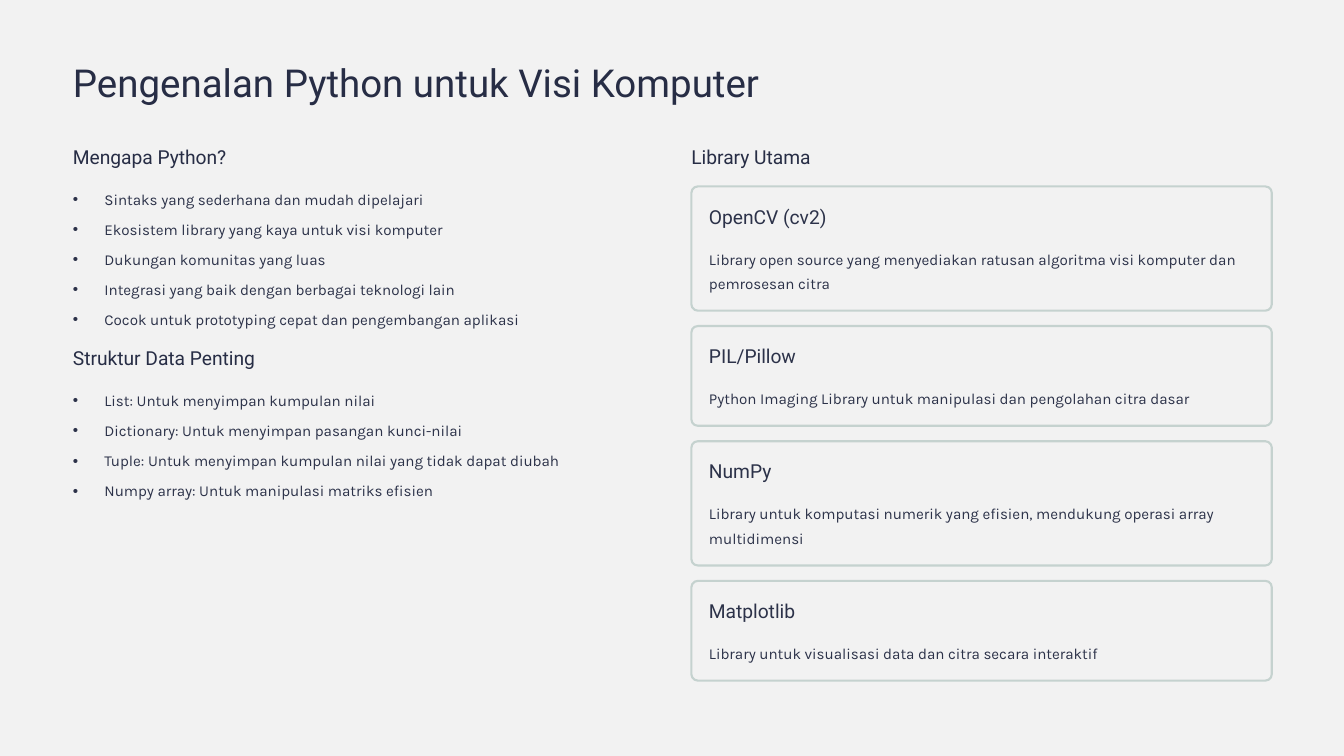
from dataclasses import dataclass

from lxml.etree import SubElement
from pptx import Presentation
from pptx.dml.color import RGBColor
from pptx.enum.shapes import MSO_SHAPE as Shape
from pptx.enum.text import MSO_ANCHOR as Anchor, MSO_AUTO_SIZE as AutoSize, PP_ALIGN as Align
from pptx.oxml.ns import qn
from pptx.shapes.base import BaseShape
from pptx.slide import Slide
from pptx.util import Pt

PAPER = RGBColor(0xF2, 0xF2, 0xF2)
NAVY = RGBColor(0x27, 0x2D, 0x45)
INK = RGBColor(0x2C, 0x32, 0x49)
SAGE = RGBColor(0xC5, 0xD2, 0xCF)

LEFT, RIGHT = 62.5, 592.6
COLUMN_WIDTH = 497.5
HEADING_TOP = 123.7
HEADING_HEIGHT = 20.5
BODY_LINE = 21
BULLET_GAP = 4.8
BULLET_INDENT = 27
CARDS_TOP = 159.8
CARD_GAP = 13.2
CARD_PADDING = 15.1
CARD_RADIUS = 5.55
CARD_FRAME = 64.5  # card height apart from its description lines
DESCRIPTION_OFFSET = 49


@dataclass(frozen=True)
class Style:
    font: str
    size: float
    line: float
    color: RGBColor


@dataclass(frozen=True)
class Topic:
    heading: str
    top: float
    list_top: float
    items: tuple[str, ...]


@dataclass(frozen=True)
class Library:
    name: str
    description: str
    lines: int


TITLE = Style("Roboto", 33, 41.5, NAVY)
HEADING = Style("Roboto", 16.5, HEADING_HEIGHT, NAVY)
CARD_NAME = Style("Roboto", 16.5, HEADING_HEIGHT, INK)
BODY = Style("Karla", 13, BODY_LINE, INK)

TOPICS = (
    Topic("Mengapa Python?", HEADING_TOP, 157.7, (
        "Sintaks yang sederhana dan mudah dipelajari",
        "Ekosistem library yang kaya untuk visi komputer",
        "Dukungan komunitas yang luas",
        "Integrasi yang baik dengan berbagai teknologi lain",
        "Cocok untuk prototyping cepat dan pengembangan aplikasi",
    )),
    Topic("Struktur Data Penting", 296.2, 330.2, (
        "List: Untuk menyimpan kumpulan nilai",
        "Dictionary: Untuk menyimpan pasangan kunci-nilai",
        "Tuple: Untuk menyimpan kumpulan nilai yang tidak dapat diubah",
        "Numpy array: Untuk manipulasi matriks efisien",
    )),
)

LIBRARIES = (
    Library("OpenCV (cv2)", "Library open source yang menyediakan ratusan algoritma "
            "visi komputer dan pemrosesan citra", 2),
    Library("PIL/Pillow", "Python Imaging Library untuk manipulasi dan pengolahan citra dasar", 1),
    Library("NumPy", "Library untuk komputasi numerik yang efisien, mendukung operasi "
            "array multidimensi", 2),
    Library("Matplotlib", "Library untuk visualisasi data dan citra secara interaktif", 1),
)


def place(shape: BaseShape, left: float, top: float, width: float, height: float) -> None:
    shape.left, shape.top = Pt(left), Pt(top)
    shape.width, shape.height = Pt(width), Pt(height)


def write(shape: BaseShape, texts: tuple[str, ...], style: Style, bulleted: bool = False) -> None:
    """Fill a shape with one paragraph per text, without margins."""
    frame = shape.text_frame
    frame.margin_left = frame.margin_right = frame.margin_top = frame.margin_bottom = 0
    frame.word_wrap = True
    frame.auto_size = AutoSize.NONE
    frame.vertical_anchor = Anchor.TOP
    frame.text = "\n".join(texts)
    for para in frame.paragraphs:
        if bulleted:
            properties = para._p.get_or_add_pPr()
            properties.set("marL", str(Pt(BULLET_INDENT)))
            properties.set("indent", str(-Pt(BULLET_INDENT)))
            SubElement(properties, qn("a:buChar")).set("char", "•")
        para.alignment = Align.LEFT
        para.line_spacing = Pt(style.line)
        para.space_before = Pt(0)
        para.space_after = Pt(BULLET_GAP if bulleted else 0)
        para.font.name = style.font
        para.font.size = Pt(style.size)
        para.font.color.rgb = style.color


def add_label(page: Slide, left: float, top: float, width: float, height: float,
              text: str, style: Style) -> None:
    box = page.shapes.add_textbox(Pt(left), Pt(top), Pt(width), Pt(height))
    write(box, (text,), style)


def add_topic(page: Slide, topic: Topic, body: BaseShape) -> None:
    add_label(page, LEFT, topic.top, COLUMN_WIDTH, HEADING_HEIGHT, topic.heading, HEADING)
    place(body, LEFT, topic.list_top, COLUMN_WIDTH, len(topic.items) * (BODY_LINE + BULLET_GAP))
    write(body, topic.items, BODY, bulleted=True)


def add_card(page: Slide, library: Library, top: float) -> float:
    """Draw one library card and return its height."""
    text_height = library.lines * BODY_LINE
    height = CARD_FRAME + text_height
    card = page.shapes.add_shape(Shape.ROUNDED_RECTANGLE, Pt(RIGHT), Pt(top),
                                 Pt(COLUMN_WIDTH), Pt(height))
    card.adjustments[0] = CARD_RADIUS / height
    card.shadow.inherit = False
    card.fill.solid()
    card.fill.fore_color.rgb = PAPER
    card.line.color.rgb = SAGE
    card.line.width = Pt(1.8)
    left, width = RIGHT + CARD_PADDING, COLUMN_WIDTH - 2 * CARD_PADDING
    add_label(page, left, top + CARD_PADDING, width, HEADING_HEIGHT, library.name, CARD_NAME)
    add_label(page, left, top + DESCRIPTION_OFFSET, width, text_height, library.description, BODY)
    return height


def main() -> None:
    deck = Presentation()
    deck.slide_width, deck.slide_height = Pt(1152), Pt(648)
    page = deck.slides.add_slide(deck.slide_layouts.get_by_name("Two Content"))
    page.background.fill.solid()
    page.background.fill.fore_color.rgb = PAPER

    title, *bodies = page.placeholders
    place(title, LEFT, 49, 1027, 41.5)
    write(title, ("Pengenalan Python untuk Visi Komputer",), TITLE)

    for topic, body in zip(TOPICS, bodies):
        add_topic(page, topic, body)

    add_label(page, RIGHT, HEADING_TOP, COLUMN_WIDTH, HEADING_HEIGHT, "Library Utama", HEADING)
    top = CARDS_TOP
    for library in LIBRARIES:
        top += add_card(page, library, top) + CARD_GAP

    deck.save("out.pptx")


if __name__ == "__main__":
    main()
